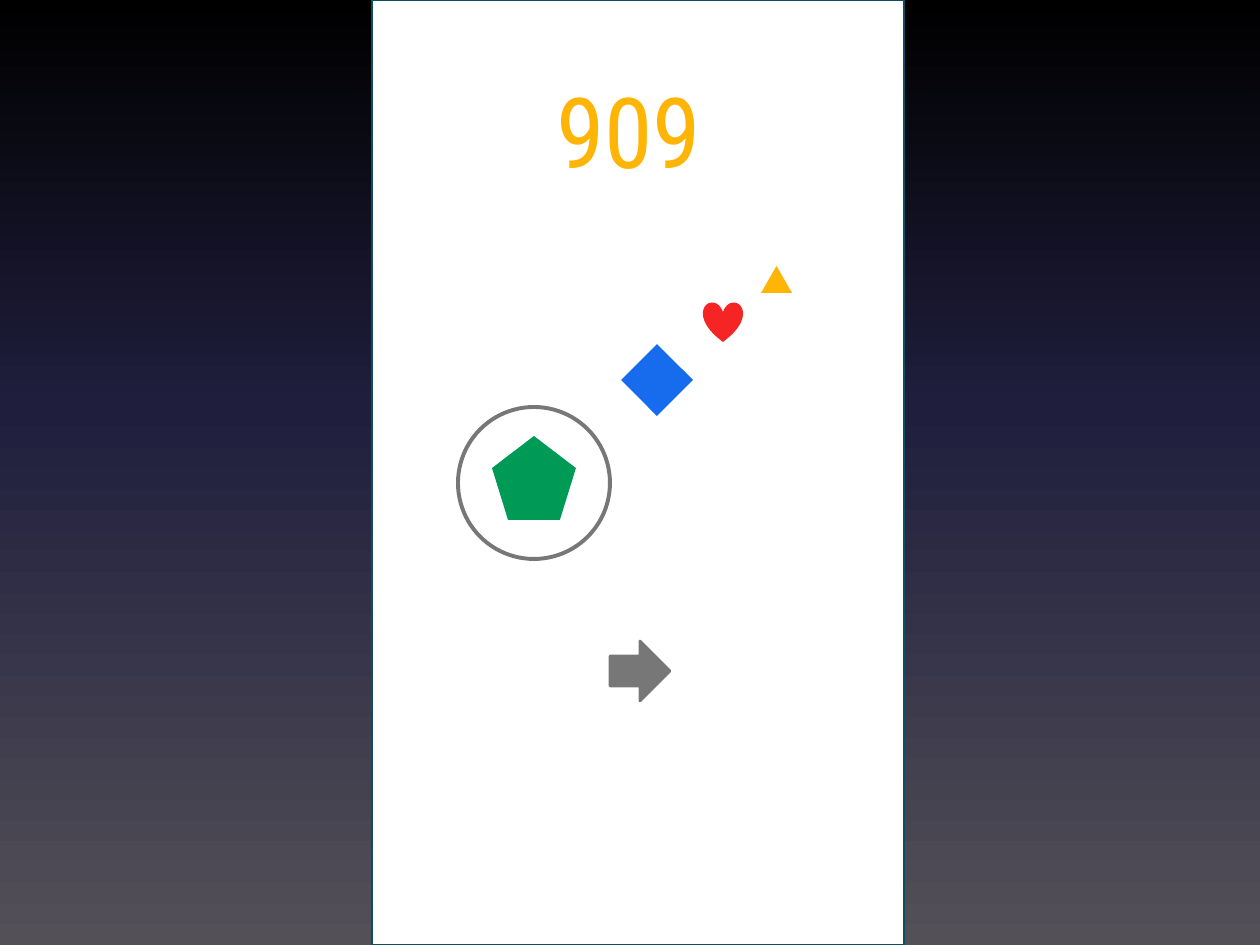
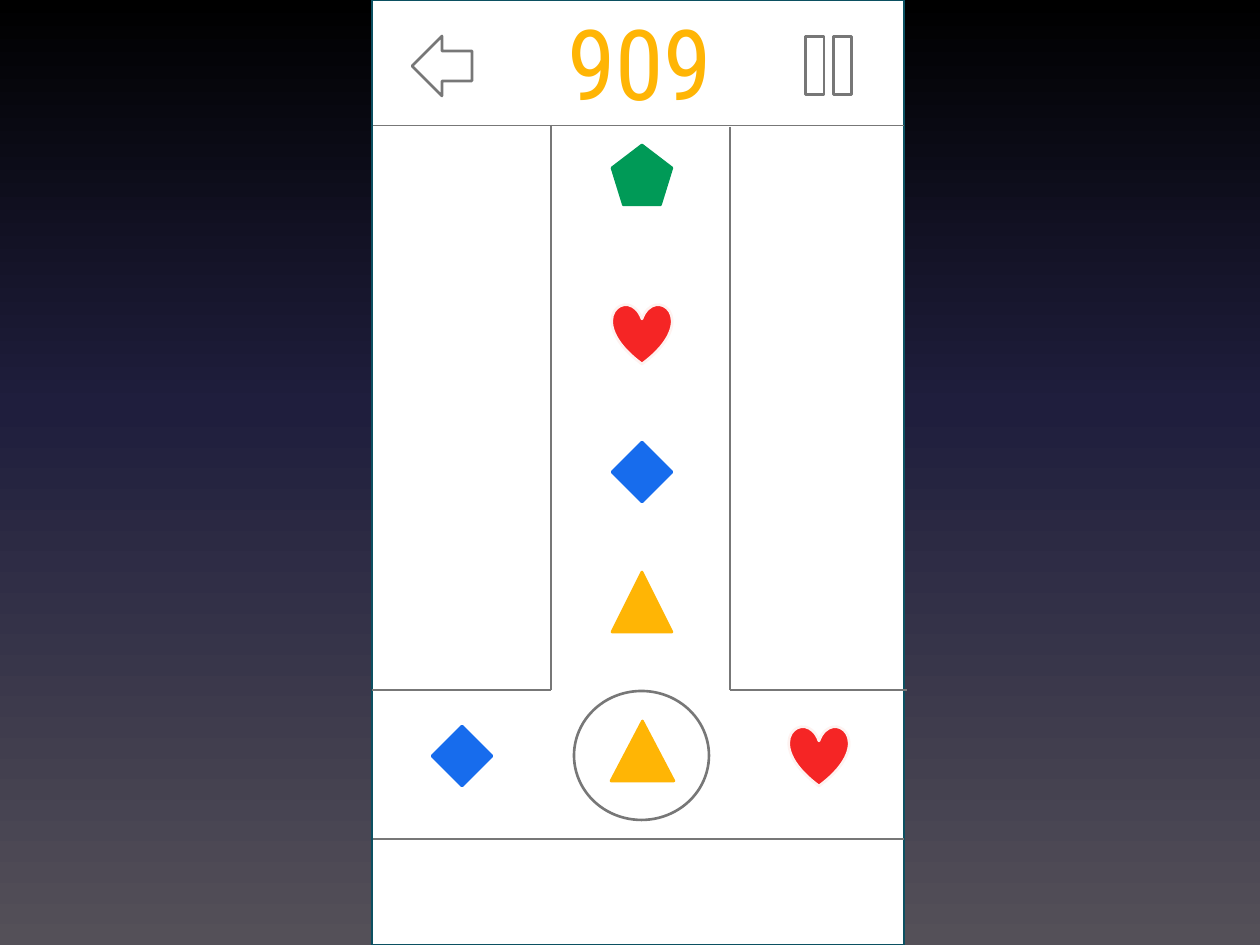
import copy

import pptx
import pptx.dml.color
import pptx.enum.shapes
import pptx.enum.text
import pptx.oxml.ns
import pptx.oxml.xmlchemy
import pptx.util
from lxml import etree

SCALE = 914400 / 126  # EMU per px
COLORS = {
    "white": "FFFFFF",
    "frame": "0B5061",
    "grey": "777777",
    "green": "009A57",
    "red": "F52525",
    "blush": "FEF2F0",
    "blue": "176CED",
    "yellow": "FFB505",
}
BACKDROP = [(0, "000000"), (0.43, "1F1E3D"), (1, "545058")]
KIND = pptx.enum.shapes.MSO_SHAPE
TOKENS = {
    "pentagon": (KIND.REGULAR_PENTAGON, "green", "green"),
    "heart": (KIND.HEART, "red", "blush"),
    "diamond": (KIND.DIAMOND, "blue", "blue"),
    "triangle": (KIND.ISOSCELES_TRIANGLE, "yellow", "yellow"),
}


def px(*lengths):
    return [pptx.util.Emu(round(length * SCALE)) for length in lengths]


def add_figure(page, kind, place, fill=None, line=None, width=1.5):
    figure = page.shapes.add_shape(kind, *px(*place))
    figure.shadow.inherit = False
    if fill:
        figure.fill.solid()
        figure.fill.fore_color.rgb = pptx.dml.color.RGBColor.from_string(COLORS[fill])
    else:
        figure.fill.background()
    if line:
        figure.line.color.rgb = pptx.dml.color.RGBColor.from_string(COLORS[line])
        figure.line.width = pptx.util.Pt(width)
    else:
        figure.line.fill.background()
    return figure


deck = pptx.Presentation()
deck.slide_width, deck.slide_height = px(1260, 945)

# Shared by both screens: gradient backdrop, phone frame, score
pages = []
for score_left, score_top in [(510, 64), (521, -4)]:
    page = deck.slides.add_slide(deck.slide_layouts[6])
    pages.append(page)

    backdrop = page.background.fill
    backdrop.gradient()
    backdrop.gradient_angle = 270
    stop_list = next(page.element.iter(pptx.oxml.ns.qn("a:gsLst")))
    stop_list.append(copy.deepcopy(stop_list[0]))
    for stop, (position, color) in zip(backdrop.gradient_stops, BACKDROP):
        stop.position = position
        stop.color.rgb = pptx.dml.color.RGBColor.from_string(color)

    add_figure(page, KIND.RECTANGLE, (372, 0, 532, 945), "white", "frame")

    box = page.shapes.add_textbox(*px(score_left, score_top, 238, 131))
    box.text_frame.word_wrap = True
    para = box.text_frame.paragraphs[0]
    para.text = "909"
    para.alignment = pptx.enum.text.PP_ALIGN.CENTER
    para.font.name = "Roboto Condensed"
    para.font.size = pptx.util.Pt(56)
    para.font.color.rgb = pptx.dml.color.RGBColor.from_string(COLORS["yellow"])

start_page, game_page = pages

# First screen: tokens approaching the ring
for token, place in [
    ("heart", (703, 302, 40, 40)),
    ("diamond", (621, 344, 72, 72)),
    ("triangle", (761, 266, 31, 27)),
    ("pentagon", (492, 436, 84, 84)),
]:
    kind, fill, _ = TOKENS[token]
    add_figure(start_page, kind, place, fill)
add_figure(start_page, KIND.OVAL, (458, 407, 152, 152), line="grey", width=2.25)
add_figure(start_page, KIND.RIGHT_ARROW, (610, 641, 60, 60), "grey", "grey")

# Second screen: back and pause buttons
add_figure(game_page, KIND.LEFT_ARROW, (412, 36, 60, 60), line="grey")
pause = add_figure(game_page, KIND.MATH_EQUAL, (789, 26, 79, 79), "white", "grey")
pause.rotation = 90

# Second screen: falling tokens, side targets and the ringed token
for token, left, top, width in [
    ("pentagon", 612, 145, 60),
    ("heart", 612, 304, 60),
    ("diamond", 612, 442, 60),
    ("triangle", 612, 572, 60),
    ("triangle", 611, 721, 63),
    ("diamond", 432, 726, 60),
    ("heart", 789, 726, 60),
]:
    kind, fill, line = TOKENS[token]
    add_figure(game_page, kind, (left, top, width, 60), fill, line)
add_figure(game_page, KIND.OVAL, (574, 691, 135, 129), line="grey")

# Second screen: lane borders
for ends, width in [
    ((373, 125, 904, 125), 0.25),
    ((551, 125, 551, 690), 1.5),
    ((730, 127, 730, 690), 1.5),
    ((372, 690, 551, 690), 1.5),
    ((730, 690, 907, 690), 1.5),
    ((373, 839, 904, 839), 1.5),
]:
    border = game_page.shapes.add_connector(
        pptx.enum.shapes.MSO_CONNECTOR.STRAIGHT, *px(*ends)
    )
    border.line.color.rgb = pptx.dml.color.RGBColor.from_string(COLORS["grey"])
    border.line.width = pptx.util.Pt(width)
    properties = border.element.find(pptx.oxml.ns.qn("p:spPr"))
    etree.SubElement(properties, pptx.oxml.ns.qn("a:effectLst"))

deck.save("out.pptx")
